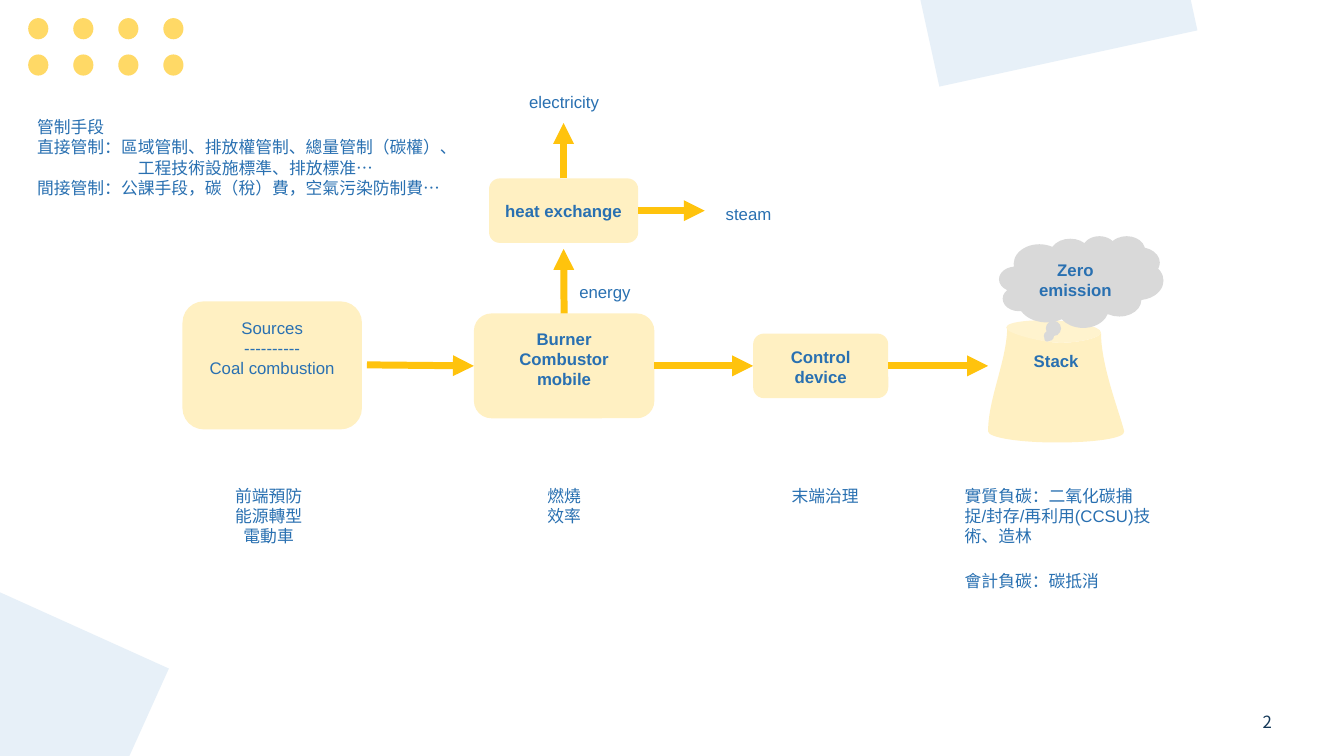
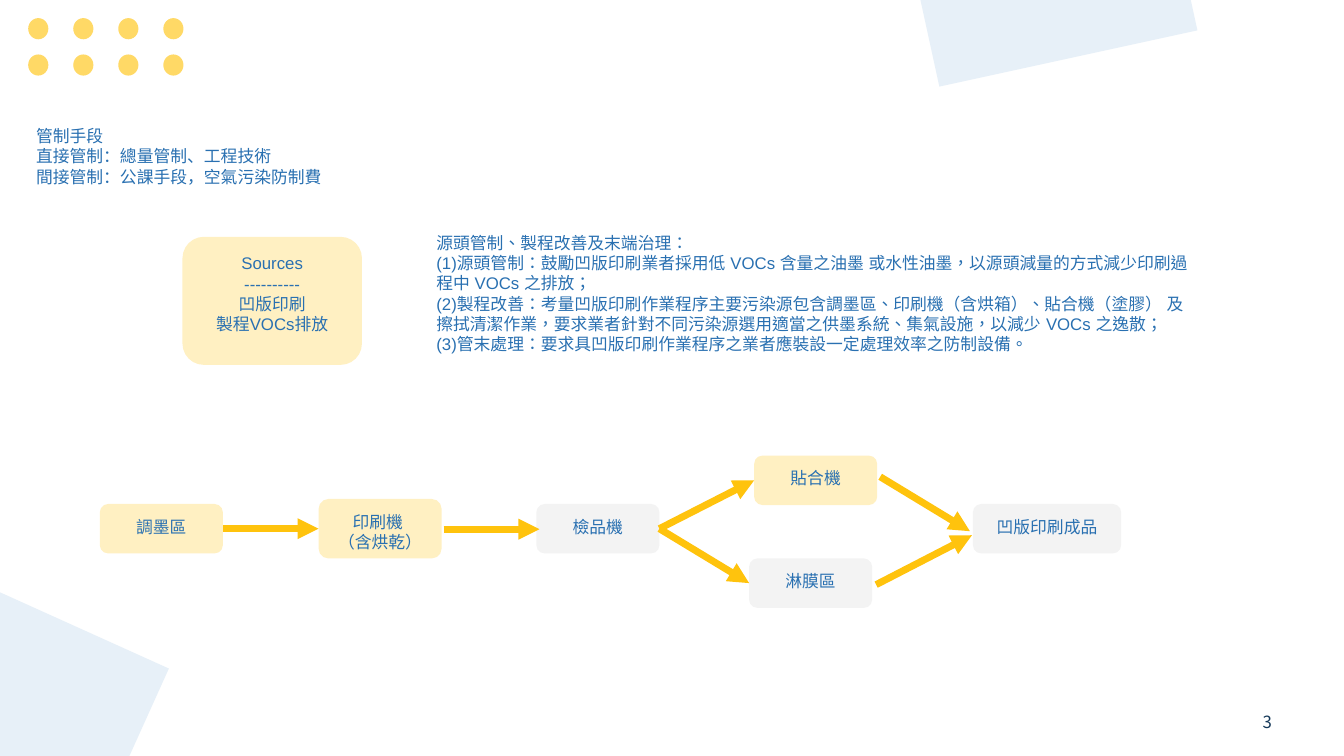
from copy import deepcopy
from dataclasses import dataclass

from lxml import etree
from pptx import Presentation
from pptx.dml.color import RGBColor
from pptx.enum.shapes import MSO_CONNECTOR, MSO_SHAPE
from pptx.enum.text import MSO_ANCHOR, MSO_AUTO_SIZE, PP_ALIGN
from pptx.oxml.ns import qn
from pptx.shapes.autoshape import Shape
from pptx.slide import Slide
from pptx.util import Inches, Pt

ROUNDED = MSO_SHAPE.ROUNDED_RECTANGLE
RECTANGLE = MSO_SHAPE.RECTANGLE
ELLIPSE = MSO_SHAPE.OVAL
CLOUD = MSO_SHAPE.CLOUD_CALLOUT
STRAIGHT = MSO_CONNECTOR.STRAIGHT
TOP_ANCHOR, MIDDLE_ANCHOR = MSO_ANCHOR.TOP, MSO_ANCHOR.MIDDLE
LEFT_ALIGN, CENTER_ALIGN = PP_ALIGN.LEFT, PP_ALIGN.CENTER
GROW = MSO_AUTO_SIZE.SHAPE_TO_FIT_TEXT
TOP, LEFT, RIGHT = 0, 1, 3
BLANK_LAYOUT = 6

Point = tuple[float, float]


@dataclass(frozen=True)
class Theme:
    text: str = "2970B1"
    page_number: str = "143858"
    cream: str = "FFF0C2"
    pale_gray: str = "F3F3F3"
    smoke: str = "D9D9D9"
    arrow: str = "FFC30D"
    dot: str = "FFD966"
    corner: str = "E7F0F8"
    font: str = "Arial"
    chinese_font: str = "Noto Sans CJK SC"
    size: float = 12
    line_pitch: float = 14.4
    arrow_width: float = 5


THEME = Theme()


@dataclass(frozen=True)
class Area:
    left: float
    top: float
    width: float
    height: float

    def lengths(self) -> tuple[int, int, int, int]:
        return (Inches(self.left), Inches(self.top),
                Inches(self.width), Inches(self.height))


@dataclass(frozen=True)
class Box:
    name: str
    text: str
    area: Area
    fill: str = THEME.cream
    bold: bool = False
    anchor: MSO_ANCHOR = TOP_ANCHOR


@dataclass(frozen=True)
class Label:
    text: str
    area: Area
    align: PP_ALIGN = CENTER_ALIGN
    chinese_font: str = THEME.font
    language: str = "en-US"


@dataclass(frozen=True)
class Joint:
    box: str
    side: int


@dataclass(frozen=True)
class Arrow:
    start: Joint | Point
    end: Joint | Point


CORNERS = (
    (Area(9.11, -1.06, 2.62, 1.66), 347.7),
    (Area(-1.17, 6.02, 2.62, 1.66), 24.3),
)

EMISSION_BOXES = (
    Box("sources", "Sources\n----------\nCoal combustion", Area(1.81, 2.99, 1.78, 1.27)),
    Box("burner", "Burner\nCombustor\nmobile", Area(4.7, 3.11, 1.79, 1.04), bold=True),
    Box("exchange", "heat exchange", Area(4.85, 1.77, 1.48, 0.64),
        bold=True, anchor=MIDDLE_ANCHOR),
    Box("control", "Control\ndevice", Area(7.47, 3.31, 1.34, 0.64), bold=True),
)
EMISSION_ARROWS = (
    Arrow((3.64, 3.62), Joint("burner", LEFT)),
    Arrow(Joint("exchange", RIGHT), (6.99, 2.09)),
    Arrow(Joint("burner", TOP), (5.59, 2.47)),
    Arrow(Joint("exchange", TOP), (5.59, 1.22)),
    Arrow(Joint("burner", RIGHT), Joint("control", LEFT)),
    Arrow(Joint("control", RIGHT), (9.8, 3.63)),
)
EMISSION_LABELS = (
    Label("energy", Area(5.41, 2.7, 1.18, 0.3)),
    Label("electricity", Area(4.88, 0.81, 1.43, 0.4)),
    Label("steam", Area(6.71, 1.92, 1.43, 0.3)),
    Label("前端預防\n能源轉型\n電動車", Area(1.95, 4.72, 1.43, 0.81)),
    Label("燃燒\n效率", Area(4.88, 4.72, 1.43, 0.61)),
    Label("末端治理", Area(7.47, 4.72, 1.43, 0.4)),
    Label("管制手段\n直接管制：區域管制、排放權管制、總量管制（碳權）、\n"
          "\t工程技術設施標準、排放標准…\n"
          "間接管制：公課手段，碳（稅）費，空氣污染防制費…",
          Area(0.27, 1.06, 5.73, 1.01), LEFT_ALIGN, THEME.chinese_font),
    Label("實質負碳：二氧化碳捕捉/封存/再利用(CCSU)技術、造林",
          Area(9.47, 4.72, 2.1, 0.81), LEFT_ALIGN),
    Label("會計負碳：碳抵消", Area(9.47, 5.56, 2.1, 0.4), LEFT_ALIGN),
)
STACK_BODY = (
    (9.99, 3.24),
    ((9.99, 3.3), (10.32, 3.39), (10.48, 3.4)),
    ((10.63, 3.41), (10.92, 3.36), (10.92, 3.3)),
    ((10.92, 3.63), (11.1, 4.08), (11.15, 4.28)),
    ((11.16, 4.35), (10.85, 4.39), (10.48, 4.39)),
    ((10.1, 4.39), (9.8, 4.34), (9.8, 4.28)),
    ((9.8, 3.95), (9.99, 3.57), (9.99, 3.24)),
)
STACK_RIM = (
    (9.98, 3.25),
    ((9.98, 3.18), (10.32, 3.17), (10.48, 3.18)),
    ((10.63, 3.19), (10.92, 3.23), (10.92, 3.3)),
    ((10.92, 3.36), (10.63, 3.41), (10.48, 3.4)),
    ((10.32, 3.39), (9.98, 3.31), (9.98, 3.25)),
)

PRINTING_BOXES = (
    Box("sources", "Sources\n----------\n凹版印刷\n製程VOCs排放", Area(1.81, 2.35, 1.78, 1.27)),
    Box("ink", "調墨區", Area(0.99, 5, 1.22, 0.49)),
    Box("press", "印刷機 \n（含烘乾）", Area(3.16, 4.95, 1.22, 0.59)),
    Box("laminator", "貼合機", Area(7.48, 4.52, 1.22, 0.49)),
    Box("inspection", "檢品機", Area(5.32, 5, 1.22, 0.49), THEME.pale_gray),
    Box("product", "凹版印刷成品", Area(9.65, 5, 1.47, 0.49), THEME.pale_gray),
    Box("coating", "淋膜區", Area(7.43, 5.54, 1.22, 0.49), THEME.pale_gray),
)
PRINTING_ARROWS = (
    Arrow(Joint("ink", RIGHT), Joint("press", LEFT)),
    Arrow((4.4, 5.25), (5.35, 5.25)),
    Arrow(Joint("inspection", RIGHT), Joint("laminator", LEFT)),
    Arrow(Joint("inspection", RIGHT), Joint("coating", LEFT)),
    Arrow((8.73, 4.73), (9.62, 5.27)),
    Arrow((8.69, 5.8), (9.64, 5.31)),
)
PRINTING_LABELS = (
    Label("管制手段\n直接管制：總量管制、工程技術\n間接管制：公課手段，空氣污染防制費",
          Area(0.26, 1.15, 3.54, 0.81), LEFT_ALIGN),
    Label("源頭管制、製程改善及末端治理：\n"
          "(1)源頭管制：鼓勵凹版印刷業者採用低 VOCs 含量之油墨 或水性油墨，"
          "以源頭減量的方式減少印刷過程中 VOCs 之排放；\n"
          "(2)製程改善：考量凹版印刷作業程序主要污染源包含調墨區、印刷機（含烘箱）、"
          "貼合機（塗膠） 及擦拭清潔作業，要求業者針對不同污染源選用適當之供墨系統、"
          "集氣設施，以減少 VOCs 之逸散；\n"
          "(3)管末處理：要求具凹版印刷作業程序之業者應裝設一定處理效率之防制設備。",
          Area(4.23, 2.21, 7.73, 1.41), LEFT_ALIGN, language="zh-TW"),
)


def write_text(shape: Shape, text: str, *, align: PP_ALIGN = CENTER_ALIGN,
               anchor: MSO_ANCHOR = TOP_ANCHOR, bold: bool = False,
               color: str = THEME.text, font: str = THEME.font,
               chinese_font: str = THEME.font, language: str = "en-US",
               top_inset: float = 0.1) -> None:
    frame = shape.text_frame
    frame.word_wrap = True
    frame.vertical_anchor = anchor
    frame.margin_left = frame.margin_right = frame.margin_bottom = Inches(0.1)
    frame.margin_top = Inches(top_inset)
    for index, line in enumerate(text.split("\n")):
        paragraph = frame.add_paragraph() if index else frame.paragraphs[0]
        paragraph.alignment = align
        paragraph.line_spacing = Pt(THEME.line_pitch)
        if line.startswith("\t"):
            properties = paragraph._p.get_or_add_pPr()
            properties.set("marL", str(Inches(1)))
            properties.set("indent", "0")
        run = paragraph.add_run()
        run.text = line.removeprefix("\t")
        run.font.size = Pt(THEME.size)
        run.font.bold = bold
        run.font.color.rgb = RGBColor.from_string(color)
        run.font.name = font
        run_properties = run._r.get_or_add_rPr()
        run_properties.set("lang", language)
        etree.SubElement(run_properties, qn("a:ea"), typeface=chinese_font)


def paint(shape: Shape, fill: str) -> Shape:
    shape.shadow.inherit = False
    shape.fill.solid()
    shape.fill.fore_color.rgb = RGBColor.from_string(fill)
    shape.line.fill.background()
    return shape


def add_preset(slide: Slide, preset: MSO_SHAPE, area: Area, fill: str) -> Shape:
    return paint(slide.shapes.add_shape(preset, *area.lengths()), fill)


def add_arrow(slide: Slide, arrow: Arrow, boxes: dict[str, Shape]) -> None:
    connector = slide.shapes.add_connector(STRAIGHT, 0, 0, 0, 0)
    if isinstance(arrow.start, Joint):
        connector.begin_connect(boxes[arrow.start.box], arrow.start.side)
    else:
        connector.begin_x, connector.begin_y = map(Inches, arrow.start)
    if isinstance(arrow.end, Joint):
        connector.end_connect(boxes[arrow.end.box], arrow.end.side)
    else:
        connector.end_x, connector.end_y = map(Inches, arrow.end)
    connector.line.color.rgb = RGBColor.from_string(THEME.arrow)
    connector.line.width = Pt(THEME.arrow_width)
    properties = connector._element.spPr
    etree.SubElement(properties.find(qn("a:ln")), qn("a:tailEnd"), type="triangle")
    etree.SubElement(properties, qn("a:effectLst"))


def bend_segments(segments: list, curves: tuple, left: int, top: int) -> None:
    for segment, curve in zip(segments, curves):
        bend = etree.Element(qn("a:cubicBezTo"))
        for x, y in curve:
            etree.SubElement(bend, qn("a:pt"), x=str(Inches(x) - left), y=str(Inches(y) - top))
        segment.getparent().replace(segment, bend)


def add_stack_shape(slide: Slide) -> Shape:
    body_start, *body_curves = STACK_BODY
    rim_start, *rim_curves = STACK_RIM
    builder = slide.shapes.build_freeform(*map(Inches, body_start))
    builder.add_line_segments([tuple(map(Inches, curve[-1])) for curve in body_curves])
    builder.move_to(*map(Inches, rim_start))
    builder.add_line_segments([tuple(map(Inches, curve[-1])) for curve in rim_curves])
    stack = paint(builder.convert_to_shape(), THEME.cream)
    body = next(stack._element.iter(qn("a:path")))
    rim = deepcopy(body)
    body.addnext(rim)
    rim.set("fill", "lightenLess")
    rim_index = list(body).index(body.findall(qn("a:moveTo"))[1])
    del body[rim_index:]
    del rim[:rim_index]
    for outline, curves in ((body, body_curves), (rim, rim_curves)):
        bend_segments(outline.findall(qn("a:lnTo")), curves, stack.left, stack.top)
    return stack


def add_label(slide: Slide, label: Label, **text_format) -> Shape:
    text_box = slide.shapes.add_textbox(*label.area.lengths())
    write_text(text_box, label.text, align=label.align, language=label.language,
               chinese_font=label.chinese_font, **text_format)
    return text_box


def add_base_slide(presentation: Presentation, number: int) -> Slide:
    slide = presentation.slides.add_slide(presentation.slide_layouts[BLANK_LAYOUT])
    add_label(slide, Label(str(number), Area(11.82, 6.96, 1.5, 0.4)),
              anchor=MIDDLE_ANCHOR, color=THEME.page_number, font=THEME.chinese_font)
    for row in range(2):
        for column in range(4):
            area = Area(0.28 + 1.34 * column / 3, 0.18 + 0.36 * row, 0.2, 0.21)
            add_preset(slide, ELLIPSE, area, THEME.dot)
    for area, rotation in CORNERS:
        add_preset(slide, RECTANGLE, area, THEME.corner).rotation = rotation
    return slide


def add_flow(slide: Slide, boxes: tuple[Box, ...], arrows: tuple[Arrow, ...],
             labels: tuple[Label, ...]) -> None:
    shapes = {}
    for box in boxes:
        shapes[box.name] = add_preset(slide, ROUNDED, box.area, box.fill)
        write_text(shapes[box.name], box.text, bold=box.bold, anchor=box.anchor)
    for arrow in arrows:
        add_arrow(slide, arrow, shapes)
    for label in labels:
        add_label(slide, label).text_frame.auto_size = GROW


def add_stack(slide: Slide) -> None:
    write_text(add_stack_shape(slide), "Stack", bold=True, top_inset=0.3)
    cloud = add_preset(slide, CLOUD, Area(9.91, 2.34, 1.63, 0.91), THEME.smoke)
    write_text(cloud, "Zero emission", bold=True)


def main() -> None:
    presentation = Presentation()
    presentation.slide_width = Inches(13.33)
    presentation.slide_height = Inches(7.5)
    emission_slide = add_base_slide(presentation, 2)
    add_flow(emission_slide, EMISSION_BOXES, EMISSION_ARROWS, EMISSION_LABELS)
    add_stack(emission_slide)
    printing_slide = add_base_slide(presentation, 3)
    add_flow(printing_slide, PRINTING_BOXES, PRINTING_ARROWS, PRINTING_LABELS)
    presentation.save("out.pptx")


if __name__ == "__main__":
    main()
